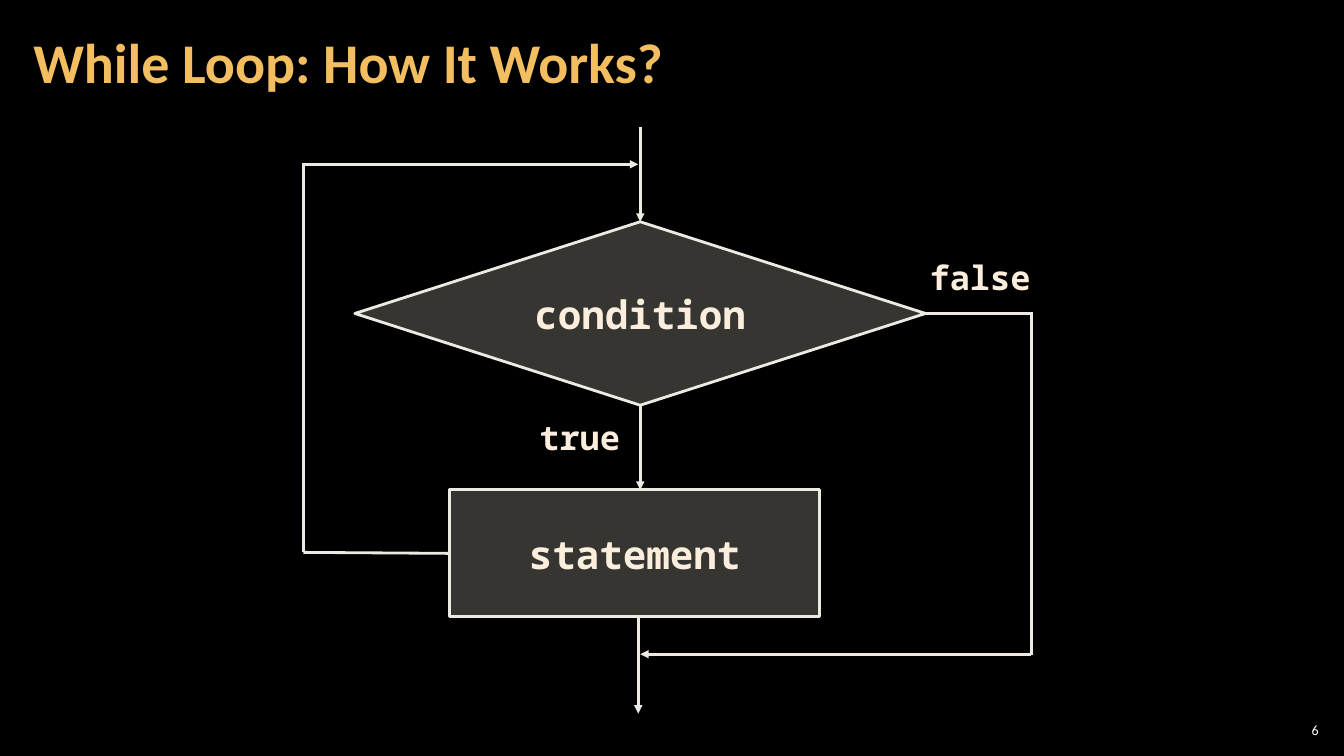
from lxml import etree
from pptx import Presentation
from pptx.dml.color import RGBColor
from pptx.enum.shapes import MSO_CONNECTOR, MSO_SHAPE
from pptx.enum.text import MSO_ANCHOR, MSO_AUTO_SIZE, PP_ALIGN
from pptx.oxml.ns import qn
from pptx.util import Inches, Pt

LINE = MSO_CONNECTOR.STRAIGHT
RECT, DIAMOND = MSO_SHAPE.RECTANGLE, MSO_SHAPE.FLOWCHART_DECISION
MIDDLE, TOP = MSO_ANCHOR.MIDDLE, MSO_ANCHOR.TOP
GROW, FIXED = MSO_AUTO_SIZE.SHAPE_TO_FIT_TEXT, MSO_AUTO_SIZE.NONE
LEFT, CENTER, RIGHT = PP_ALIGN.LEFT, PP_ALIGN.CENTER, PP_ALIGN.RIGHT

BLACK = RGBColor(0x00, 0x00, 0x00)
WHITE = RGBColor(0xFF, 0xFF, 0xFF)
GOLD = RGBColor(0xF3, 0xBE, 0x60)
CREAM = RGBColor(0xFB, 0xEE, 0xDC)
SAND = RGBColor(0xD9, 0xD5, 0xC7)
PALE = RGBColor(0xEC, 0xEA, 0xE3)
SANS, MONO = "Calibri", "Noto Sans Mono"


class Chart:
    """Flow chart style and the slide it is drawn on."""

    def __init__(self, deck):
        self.slide = deck.slides.add_slide(deck.slide_layouts[5])
        self.shapes = self.slide.shapes
        fill = self.slide.background.fill
        fill.solid()
        fill.fore_color.rgb = BLACK

    def letter(self, shape, text, size, name=MONO, color=CREAM, bold=True,
               align=CENTER, anchor=MIDDLE, fit=FIXED, pad=(0.1, 0.05)):
        frame = shape.text_frame
        wide, high = map(Inches, pad)
        frame.text = text
        style = {"word_wrap": True, "auto_size": fit, "vertical_anchor": anchor,
                 "margin_left": wide, "margin_right": wide,
                 "margin_top": high, "margin_bottom": high}
        for key, value in style.items():
            setattr(frame, key, value)
        para = frame.paragraphs[0]
        para.alignment = align
        font = para.runs[0].font
        for key, value in {"name": name, "size": Pt(size), "bold": bold}.items():
            setattr(font, key, value)
        font.color.rgb = color
        return para

    def title(self, text, *box):
        head = self.shapes.title
        for key, value in zip(("left", "top", "width", "height"), box):
            setattr(head, key, Inches(value))
        para = self.letter(head, text, 40, SANS, GOLD, align=LEFT, pad=(0.12, 0.04))
        para.line_spacing = 0.9

    def label(self, text, *box, size=24, anchor=TOP, fit=GROW, **style):
        area = self.shapes.add_textbox(*map(Inches, box))
        self.letter(area, text, size, anchor=anchor, fit=fit, **style)

    def node(self, kind, text, *box):
        shape = self.shapes.add_shape(kind, *map(Inches, box))
        shape.shadow.inherit = False
        shape.fill.solid()
        shape.fill.fore_color.rgb = SAND
        tint = shape._element.spPr.find(qn("a:solidFill")).find(qn("a:srgbClr"))
        etree.SubElement(tint, qn("a:alpha"), val="25000")
        self.stroke(shape.line)
        self.letter(shape, text, 28)
        return shape

    def stroke(self, line):
        line.color.rgb = PALE
        line.width = Pt(2)

    def link(self, start, end, arrow=False, begin=None, finish=None):
        line = self.shapes.add_connector(LINE, *map(Inches, start + end))
        self.stroke(line.line)
        props = line._element.spPr
        if arrow:
            etree.SubElement(props.find(qn("a:ln")), qn("a:tailEnd"), type="triangle")
        etree.SubElement(props, qn("a:effectLst"))
        if begin:
            line.begin_connect(*begin)
        if finish:
            line.end_connect(*finish)


def main():
    deck = Presentation()
    deck.slide_width, deck.slide_height = Inches(13.33), Inches(7.5)
    chart = Chart(deck)
    chart.title("While Loop: How It Works?", 0.21, 0.04, 10.47, 1.21)

    # Steps
    body = chart.node(RECT, "statement", 4.46, 4.86, 3.67, 1.26)
    test = chart.node(DIAMOND, "condition", 3.52, 2.2, 5.66, 1.82)

    # Main flow
    mid, out = 6.35, 6.33
    chart.link((mid, 1.26), (mid, 2.2), True, finish=(test, 0))
    chart.link((mid, 4.02), (mid, 4.86), True, begin=(test, 2))
    chart.link((out, 6.12), (out, 7.08), True)

    # Way back to the test
    back = 3.01
    chart.link((4.46, 5.48), (back, 5.48), begin=(body, 1))
    chart.link((back, 5.48), (back, 1.62))
    chart.link((back, 1.63), (out, 1.63), True)

    # Way out of the loop
    exit_x = 10.23
    chart.link((9.18, 3.11), (10.25, 3.11), begin=(test, 3))
    chart.link((exit_x, 3.11), (exit_x, 6.5))
    chart.link((exit_x, 6.49), (mid, 6.49), True)

    # Branch labels and page number
    chart.label("true", 5.25, 4.09, 1, 0.5)
    chart.label("false", 9.09, 2.5, 1.26, 0.5)
    chart.label("6", 12.65, 7.14, 0.47, 0.21, size=10, name=SANS, color=WHITE,
                bold=False, align=RIGHT, anchor=MIDDLE, fit=FIXED, pad=(0.04, 0.04))

    deck.save("out.pptx")


if __name__ == "__main__":
    main()
